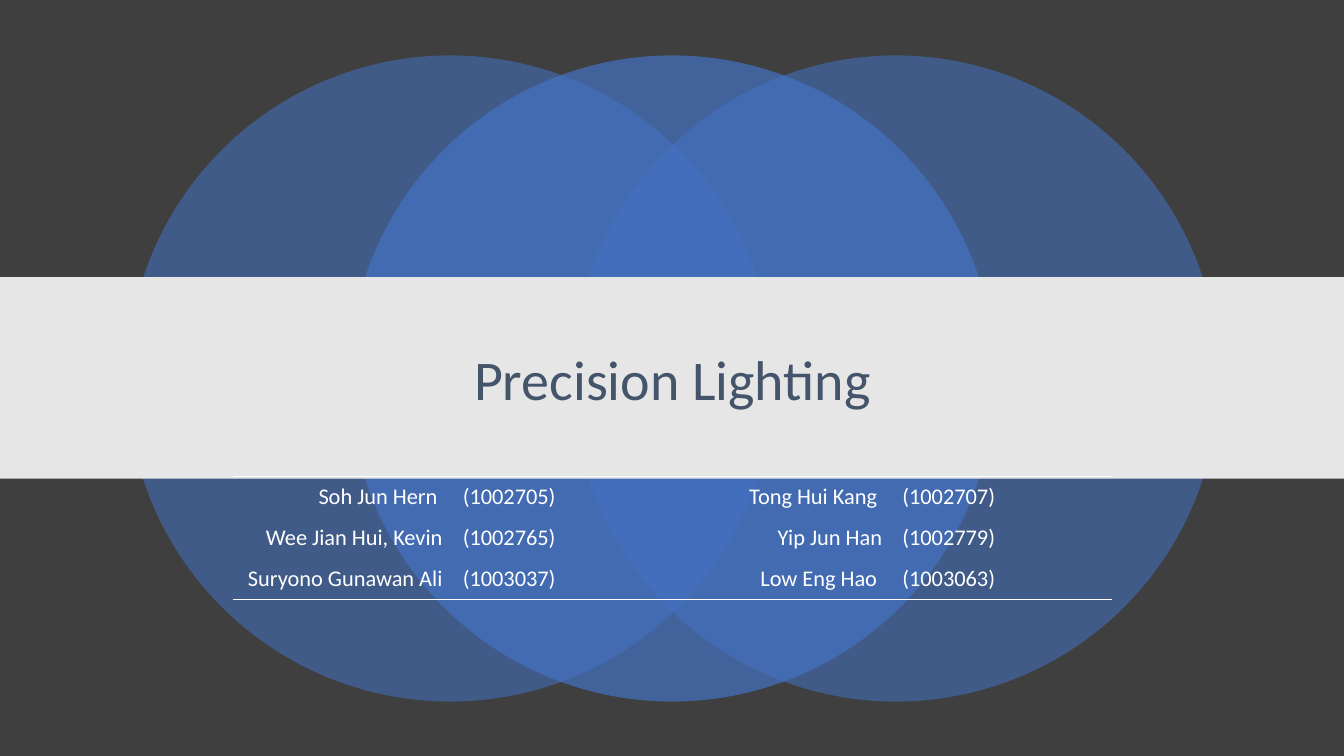
import dataclasses

import lxml.etree
import pptx
import pptx.dml.color
import pptx.enum.shapes
import pptx.enum.text
import pptx.oxml.ns
import pptx.util

Inches = pptx.util.Inches
Pt = pptx.util.Pt
Kind = pptx.enum.shapes.MSO_SHAPE
Align = pptx.enum.text.PP_ALIGN
Anchor = pptx.enum.text.MSO_ANCHOR
qn = pptx.oxml.ns.qn

DARK = "3F3F3F"
BLUE = "4472C4"
PALE = "E7E6E6"
SLATE = "44546A"
WHITE = "FFFFFF"


@dataclasses.dataclass
class Disc:
    left: float
    alpha: int


@dataclasses.dataclass
class Member:
    name: str
    code: str


DISCS = [Disc(1.26, 55), Disc(5.68, 55), Disc(3.46, 70)]
TEAM = [
    [Member("Soh Jun Hern ", "(1002705) "), Member("Tong Hui Kang ", "(1002707)")],
    [Member("Wee Jian Hui, Kevin", "(1002765) "), Member("Yip Jun Han", "(1002779)")],
    [Member("Suryono Gunawan Ali ", "(1003037) "), Member("Low Eng Hao ", "(1003063)")],
]


def paint(fill, color: str) -> None:
    fill.solid()
    fill.fore_color.rgb = pptx.dml.color.RGBColor.from_string(color)


def shape(slide, kind, left: float, top: float, width: float, height: float, color: str):
    item = slide.shapes.add_shape(
        kind, Inches(left), Inches(top), Inches(width), Inches(height))
    item.shadow.inherit = False
    item.line.fill.background()
    paint(item.fill, color)
    return item


def disc(slide, data: Disc) -> None:
    item = shape(slide, Kind.OVAL, data.left, 0.55, 6.41, 6.41, BLUE)
    tint = item.element.spPr.find(".//" + qn("a:srgbClr"))
    lxml.etree.SubElement(tint, qn("a:alpha"), val=str(data.alpha * 1000))


def write(frame, text: str, size: int, color: str, align):
    para = frame.paragraphs[0]
    para.alignment = align
    run = para.add_run()
    run.text = text
    run.font.name = "Calibri"
    run.font.size = Pt(size)
    run.font.bold = False
    paint(run.font.fill, color)
    return para


def border(cell, sides: str) -> None:
    props = cell._tc.get_or_add_tcPr()
    for spot, side in enumerate("LRTB"):
        line = lxml.etree.Element(qn("a:ln" + side), w=str(Pt(1)))
        if side in sides:
            fill = lxml.etree.SubElement(line, qn("a:solidFill"))
            lxml.etree.SubElement(fill, qn("a:srgbClr"), val=WHITE)
        else:
            lxml.etree.SubElement(line, qn("a:noFill"))
        props.insert(spot, line)


def title(slide, text: str) -> None:
    box = slide.shapes.add_textbox(Inches(1.67), Inches(3.04), Inches(10), Inches(1.51))
    frame = box.text_frame
    frame.word_wrap = True
    frame.vertical_anchor = Anchor.MIDDLE
    para = write(frame, text, 40, SLATE, Align.CENTER)
    para.line_spacing = 0.9


def roster(slide, team: list[list[Member]]) -> None:
    rows, cols = len(team), 2 * len(team[0])
    grid = slide.shapes.add_table(
        rows, cols, Inches(2.31), Inches(4.73), Inches(8.72), Inches(1.22)).table
    grid.first_row = False
    grid.horz_banding = False
    for row, group in enumerate(team):
        texts = [text for member in group for text in (member.name, member.code)]
        sides = ("T" if row == 0 else "") + ("B" if row == rows - 1 else "")
        for col, text in enumerate(texts):
            cell = grid.cell(row, col)
            cell.fill.background()
            cell.vertical_anchor = Anchor.MIDDLE
            border(cell, sides)
            align = Align.LEFT if col % 2 else Align.RIGHT
            write(cell.text_frame, text, 16, WHITE, align)


deck = pptx.Presentation()
deck.slide_width = Inches(13.33)
deck.slide_height = Inches(7.5)
slide = deck.slides.add_slide(deck.slide_layouts[6])
paint(slide.background.fill, DARK)
for data in DISCS:
    disc(slide, data)
shape(slide, Kind.RECTANGLE, 0, 2.75, 13.33, 2, PALE)
title(slide, "Precision Lighting")
roster(slide, TEAM)
deck.save("out.pptx")
